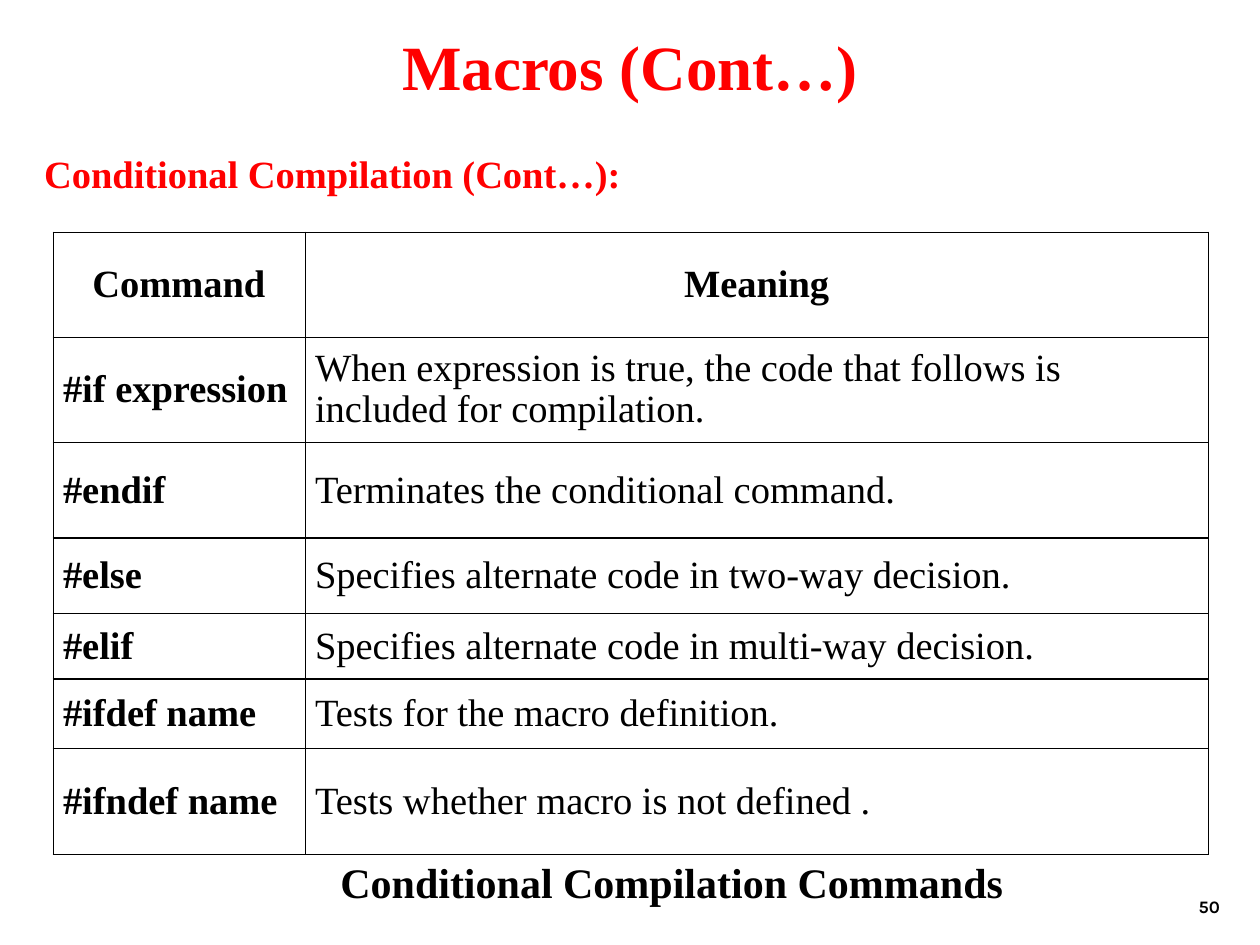
from lxml import etree
from pptx import Presentation
from pptx.dml.color import RGBColor
from pptx.enum import text
from pptx.oxml.ns import qn
from pptx.util import Inches, Pt

SERIF = "Times New Roman"
BLACK, RED = "000000", "FF0000"
THIN, THICK = 0.45, 0.75
COLUMN_WIDTHS = (2, 7.17)
ROWS = (
    (0.84, "Command", "Meaning"),
    (0.83, "#if expression", "When expression is true, the code that follows "
                             "is included for compilation."),
    (0.76, "#endif", "Terminates the conditional command."),
    (0.6, "#else", "Specifies alternate code in two-way decision."),
    (0.52, "#elif", "Specifies alternate code in multi-way decision."),
    (0.55, "#ifdef name", "Tests for the macro definition."),
    (0.84, "#ifndef name", "Tests whether macro is not defined ."),
)


def color(value):
    return RGBColor.from_string(value)


def style(para, size, shade=BLACK, bold=True, name=SERIF,
          align=text.PP_ALIGN.LEFT):
    para.alignment = align
    font = para.font
    font.size, font.bold, font.name = Pt(size), bold, name
    font.color.rgb = color(shade)


def add_heading(page, left, top, width, height):
    """Fill the title placeholder with the title and its subheading."""
    box = page.shapes.title
    box.left, box.top = Inches(left), Inches(top)
    box.width, box.height = Inches(width), Inches(height)
    frame = box.text_frame
    frame.auto_size = text.MSO_AUTO_SIZE.NONE
    frame.vertical_anchor = text.MSO_ANCHOR.BOTTOM
    title = frame.paragraphs[0]
    title.text = "Macros (Cont…)"
    style(title, 36, RED, align=text.PP_ALIGN.CENTER)
    subheading = frame.add_paragraph()
    subheading.text = "Conditional Compilation (Cont…):"
    subheading.space_before = Pt(27)
    style(subheading, 22, RED)


def add_label(page, words, left, top, width, height, size, name=SERIF,
              anchor=text.MSO_ANCHOR.TOP, wrap=True):
    """Add a bold, right-aligned line of text."""
    box = page.shapes.add_textbox(
        Inches(left), Inches(top), Inches(width), Inches(height))
    frame = box.text_frame
    frame.word_wrap = wrap
    frame.vertical_anchor = anchor
    para = frame.paragraphs[0]
    para.text = words
    style(para, size, name=name, align=text.PP_ALIGN.RIGHT)


def set_borders(cell, top, bottom):
    properties = cell._tc.get_or_add_tcPr()
    for side, width in (("L", THIN), ("R", THIN), ("T", top), ("B", bottom)):
        line = etree.SubElement(properties, qn(f"a:ln{side}"), w=str(Pt(width)))
        fill = etree.SubElement(line, qn("a:solidFill"))
        etree.SubElement(fill, qn("a:srgbClr"), val=BLACK)


def add_commands(page, left, top):
    height = sum(row[0] for row in ROWS)
    table = page.shapes.add_table(
        len(ROWS), len(COLUMN_WIDTHS), Inches(left), Inches(top),
        Inches(sum(COLUMN_WIDTHS)), Inches(height)).table
    table.horz_banding = False
    for column, width in zip(table.columns, COLUMN_WIDTHS):
        column.width = Inches(width)

    # The lines above and below the header and the bottom line are thin.
    edges = [THIN, THIN] + [THICK] * (len(ROWS) - 2) + [THIN]
    for r, (row_height, *words) in enumerate(ROWS):
        table.rows[r].height = Inches(row_height)
        for c, content in enumerate(words):
            cell = table.cell(r, c)
            set_borders(cell, edges[r], edges[r + 1])
            cell.fill.background()
            cell.vertical_anchor = text.MSO_ANCHOR.MIDDLE
            cell.margin_left = cell.margin_right = Inches(0.08)
            para = cell.text_frame.paragraphs[0]
            para.text = content
            header = r == 0
            style(para, 22, bold=header or c == 0,
                  align=text.PP_ALIGN.CENTER if header else text.PP_ALIGN.LEFT)
            if r == 1 and c == 1:
                para.line_spacing = 0.95


def main():
    deck = Presentation()
    deck.slide_width, deck.slide_height = Inches(10), Inches(7.5)
    page = deck.slides.add_slide(deck.slide_layouts[5])
    add_heading(page, 0.25, 0.17, 9.5, 1.44)
    add_label(page, "50", 7.7, 6.83, 2.08, 0.5, 10, name="Karla",
              anchor=text.MSO_ANCHOR.BOTTOM)
    add_commands(page, 0.42, 1.84)
    add_label(page, "Conditional Compilation Commands",
              2.6, 6.75, 5.46, 0.5, 24, wrap=False)
    deck.save("out.pptx")


if __name__ == "__main__":
    main()
